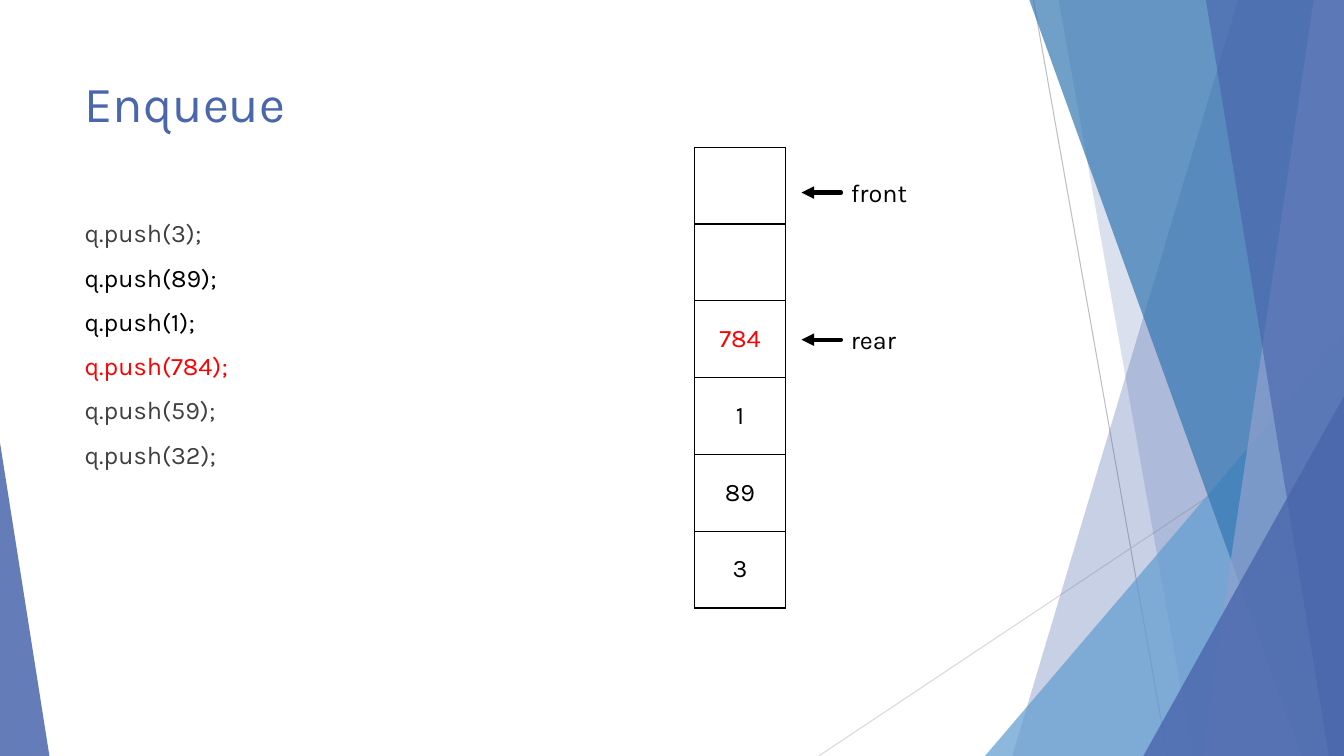
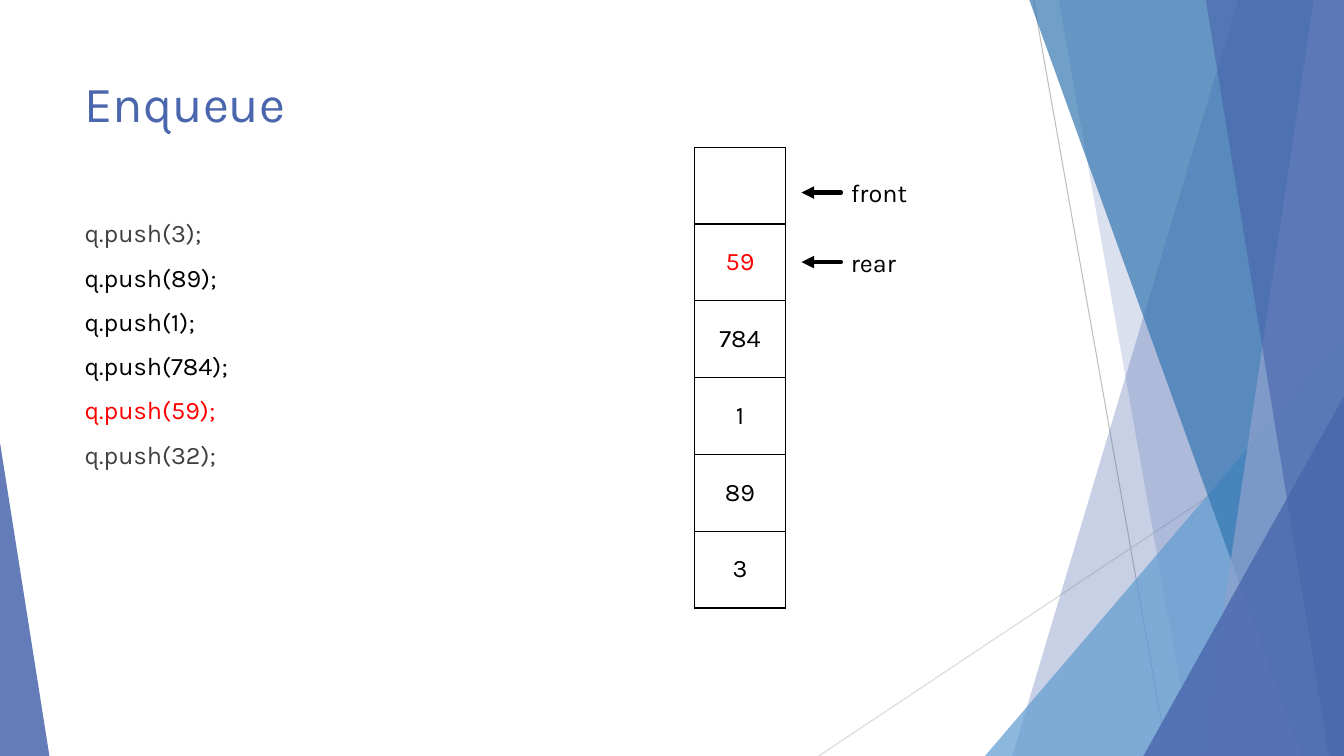
from lxml import etree
from pptx import Presentation
from pptx.dml.color import RGBColor
from pptx.enum.shapes import MSO_CONNECTOR, MSO_SHAPE
from pptx.enum.text import MSO_ANCHOR, PP_ALIGN
from pptx.oxml.ns import qn
from pptx.util import Inches, Pt

STRAIGHT = MSO_CONNECTOR.STRAIGHT
TRIANGLE = MSO_SHAPE.ISOSCELES_TRIANGLE
MIDDLE, CENTER = MSO_ANCHOR.MIDDLE, PP_ALIGN.CENTER

FONT = "Karla"
BLUE, MID_BLUE, DEEP_BLUE, PALE_BLUE = "4A66AC", "629DD1", "3477B2", "90A2CF"
BLACK, GRAY, RED = "000000", "404040", "FF0000"

prs = Presentation()
prs.slide_width, prs.slide_height = Inches(13.33), Inches(7.5)
COL, ROW = prs.slide_width / 100, prs.slide_height / 100


def grid(*cells):
    """Turn alternating columns and rows of a 100 x 100 slide grid into EMU."""
    return [int(n * (ROW if i % 2 else COL)) for i, n in enumerate(cells)]


def rgb(color):
    return RGBColor.from_string(color)


# Bands run from (top x, bottom x) to the right edge;
# triangles are (left, right, top) and stand on the bottom edge.
FACETS = [
    ((92.12, 75.32), BLUE, 30),
    ((78.77, 88.75), BLUE, 20),
    ((73.29, 100, 44.4), MID_BLUE, 72),
    ((76.59, 96.85), DEEP_BLUE, 70),
    ((97.75, 89.42), PALE_BLUE, 70),
    ((89.72, 98.87), BLUE, 65),
    ((85.07, 100, 52.4), BLUE, 80),
    ((0, 3.68, 58.53), BLUE, 85),
]
HAIRLINES = [
    ((76.9, 0, 86.87, 100), "BFBFBF", 0.75),
    ((100, 53.73, 60.92, 100), "D9D9D9", 0.75),
]
MARGIN = 5.55
LABEL_X, ARROW_TIP = 62.57, 59.64
FRONT_Y = 25.47
CELL_W, CELL_H = 6.75, 10.16

values = [3, 89, 1, 784, 59, 32]
steps = [(3, 44.93), (4, 34.67)]  # index being pushed, height of the rear arrow

for current, rear_y in steps:
    s = prs.slides.add_slide(prs.slide_layouts[6])
    pointers = [("front", FRONT_Y), ("rear", rear_y)]

    # Hairlines and pointer arrows
    arrows = [((LABEL_X, y, ARROW_TIP, y), BLACK, 3) for name, y in pointers]
    for ends, color, width in HAIRLINES + arrows:
        line = s.shapes.add_connector(STRAIGHT, *grid(*ends))
        line.line.color.rgb = rgb(color)
        line.line.width = Pt(width)
        spPr = line._element.spPr
        if color == BLACK:
            ln = spPr.find(qn("a:ln"))
            ln.set("cap", "rnd")
            etree.SubElement(ln, qn("a:tailEnd"), type="triangle")
        etree.SubElement(spPr, qn("a:effectLst"))

    # Translucent facets
    for edges, color, alpha in FACETS:
        if len(edges) == 2:
            top, bottom = edges
            builder = s.shapes.build_freeform(*grid(top, 0))
            corners = [(100, 0), (100, 100), (bottom, 100)]
            builder.add_line_segments([grid(*c) for c in corners], close=True)
            sp = builder.convert_to_shape()
        else:
            left, right, top = edges
            sp = s.shapes.add_shape(
                TRIANGLE, *grid(left, top, right - left, 100 - top))
            sp.adjustments[0] = 1 if right == 100 else 0
        sp.shadow.inherit = False
        sp.line.fill.background()
        sp.fill.solid()
        sp.fill.fore_color.rgb = rgb(color)
        clr = sp._element.spPr.find(qn("a:solidFill"))[0]
        etree.SubElement(clr, qn("a:alpha"), val=str(alpha * 1000))

    # Title, code lines and pointer labels
    code = []
    for i, value in enumerate(values):
        color = RED if i == current else BLACK if 0 < i < current else GRAY
        code.append((f"q.push({value});", color))
    texts = [
        ((MARGIN, 8.93, 70.52, 19.2), 36, [("Enqueue", BLUE)]),
        ((MARGIN, 28.13, 27.76, 40.53), 18, code),
    ]
    for name, y in pointers:
        texts.append(((LABEL_X, y - 2.67, 9.3, 5.33), 18, [(name, BLACK)]))
    for box, size, lines in texts:
        tf = s.shapes.add_textbox(*grid(*box)).text_frame
        tf.word_wrap = True
        for i, (text, color) in enumerate(lines):
            p = tf.add_paragraph() if i else tf.paragraphs[0]
            if i:
                p.space_before = Pt(10)
            r = p.add_run()
            r.text = text
            r.font.name, r.font.size = FONT, Pt(size)
            r.font.color.rgb = rgb(color)

    # Queue, filled from the bottom up
    count = len(values)
    table = s.shapes.add_table(
        count, 1, *grid(51.69, 19.47, CELL_W, CELL_H * count)).table
    table.first_row = table.horz_banding = False
    for i, value in enumerate(values):
        cell = table.cell(count - 1 - i, 0)
        tcPr = cell._tc.get_or_add_tcPr()
        for side in ("lnL", "lnR", "lnT", "lnB"):
            ln = etree.SubElement(tcPr, qn(f"a:{side}"), w=str(Pt(1)))
            fill = etree.SubElement(ln, qn("a:solidFill"))
            etree.SubElement(fill, qn("a:srgbClr"), val=BLACK)
        cell.fill.background()
        cell.vertical_anchor = MIDDLE
        if i <= current:
            p = cell.text_frame.paragraphs[0]
            p.alignment = CENTER
            r = p.add_run()
            r.text = str(value)
            r.font.name, r.font.size = FONT, Pt(18)
            r.font.color.rgb = rgb(RED if i == current else BLACK)

prs.save("out.pptx")
